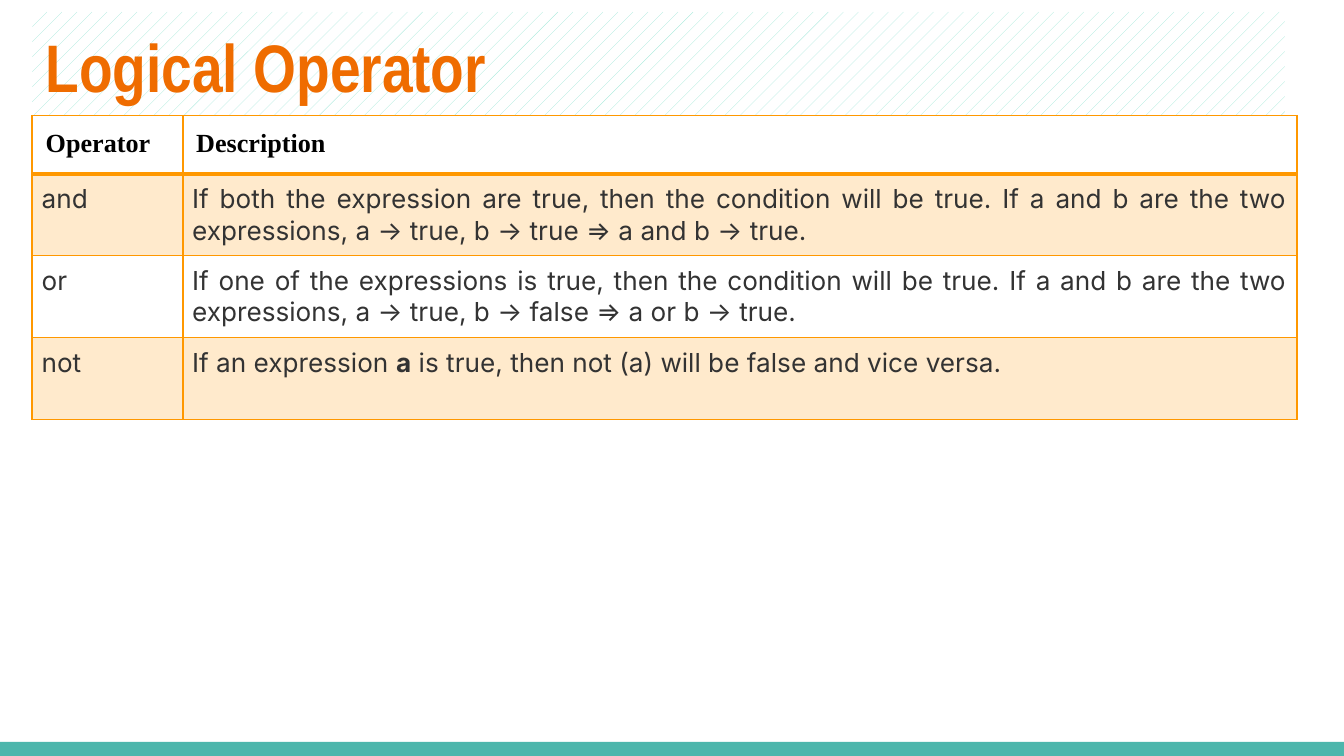
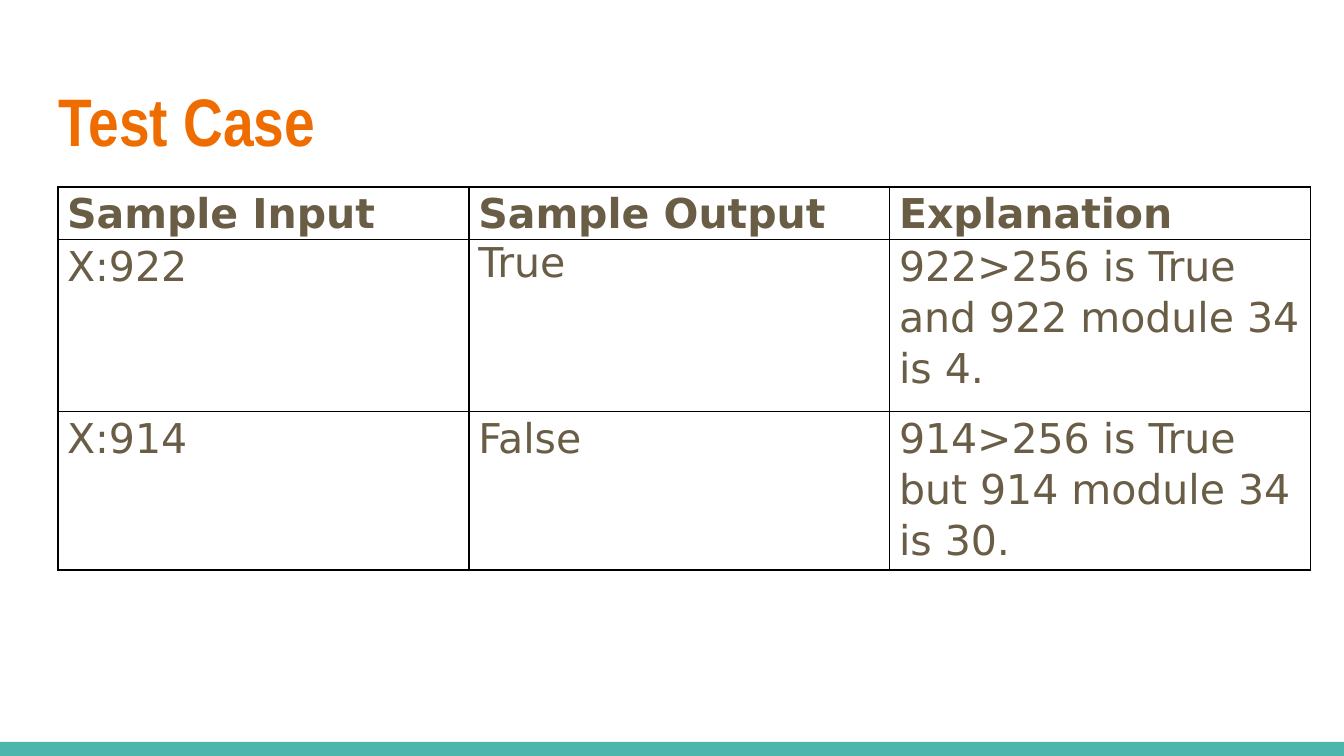
import pptx
import pptx.util
import pptx.dml.color
import pptx.enum.dml
import pptx.enum.shapes
import pptx.enum.text
import pptx.oxml
import pptx.oxml.ns
from lxml import etree

Inches = pptx.util.Inches
Pt = pptx.util.Pt
qn = pptx.oxml.ns.qn
ALIGN = pptx.enum.text.PP_ALIGN

WIDE = 10
HIGH = WIDE * 9 / 16
TEAL, ORANGE, AMBER = "4DB6AC", "EF6C00", "FF9800"
MINT, WHITE, BLACK = "A1E8D9", "FFFFFF", "000000"
GREY, BROWN = "333333", "695D46"

# Text formats
TITLE = dict(size=Pt(36), name="Arial Narrow", bold=True, color=ORANGE)
HEAD = dict(size=Pt(14), name="Times New Roman", bold=True, color=BLACK)
BODY = dict(size=Pt(14), name="Inter", bold=False, color=GREY)
CASE = dict(size=Pt(22), name="DejaVu Sans", bold=False, color=BROWN)

LOGIC = [
    ["Operator", "Description"],
    ["and", "If both the expression are true, then the condition will be true. "
     "If a and b are the two expressions, a → true, b → true => a and b → true."],
    ["or", "If one of the expressions is true, then the condition will be true. "
     "If a and b are the two expressions, a → true, b → false => a or b → true."],
    ["not", "If an expression *a* is true, then not (a) will be false and vice versa."],
]
TESTS = [
    ["Sample Input", "Sample Output", "Explanation"],
    ["X:922", "True", "922>256 is True and 922 module 34 is 4."],
    ["X:914", "False", "914>256 is True but 914 module 34 is 30."],
]


def tint(color, code):
    color.rgb = pptx.dml.color.RGBColor.from_string(code)


def style(font, look):
    for key, value in look.items():
        if key == "color":
            tint(font.color, value)
        else:
            setattr(font, key, value)


def write(para, text, look):
    """Add runs; text between asterisks is bold."""
    for i, part in enumerate(text.split("*")):
        run = para.add_run()
        run.text = part
        style(run.font, look)
        if i % 2:
            run.font.bold = True


def pad(item, x, y):
    for side, gap in zip(("left", "top", "right", "bottom"), (x, y, x, y)):
        setattr(item, "margin_" + side, Inches(gap))


def edge(cell, code, widths):
    """Draw the borders; widths run left, right, top, bottom."""
    props = cell._tc.get_or_add_tcPr()
    for side, width in zip("LRTB", widths):
        line = etree.SubElement(props, qn("a:ln" + side), w=str(Pt(width)))
        fill = etree.SubElement(line, qn("a:solidFill"))
        etree.SubElement(fill, qn("a:srgbClr"), val=code)


def shade(cell, code, alpha):
    cell.fill.solid()
    tint(cell.fill.fore_color, code)
    mark = cell._tc.tcPr.find(qn("a:solidFill"))[0]
    etree.SubElement(mark, qn("a:alpha"), val=str(alpha * 1000))


def band(slide):
    """Strip along the foot of the slide."""
    strip = slide.shapes.add_shape(
        pptx.enum.shapes.MSO_SHAPE.RECTANGLE,
        Inches(0), Inches(5.52), Inches(WIDE), Inches(0.11))
    strip.shadow.inherit = False
    strip.fill.solid()
    tint(strip.fill.fore_color, TEAL)
    strip.line.fill.background()


def title(slide, text, x, y):
    box = slide.shapes.add_textbox(Inches(x), Inches(y), Inches(9.32), Inches(0.77))
    frame = box.text_frame
    frame.word_wrap = True
    pad(frame, 0.1, 0.1)
    write(frame.paragraphs[0], text, TITLE)
    return box


def grid(slide, x, y, cols, rows, tall):
    """Make a plain table with the given column widths and row heights."""
    frame = slide.shapes.add_table(
        len(rows), len(cols), Inches(x), Inches(y),
        Inches(sum(cols)), Inches(tall))
    table = frame.table
    table.first_row = table.horz_banding = False
    for col, width in zip(table.columns, cols):
        col.width = Inches(width)
    for row, height in zip(table.rows, rows):
        row.height = Inches(height)
    frame.height = Inches(tall)
    return table


def cells(table, data):
    for r, line in enumerate(data):
        for c, text in enumerate(line):
            yield r, table.cell(r, c), text


def logic(slide, x, y):
    """Title over a hatched ground, with the table of operators below."""
    box = title(slide, "Logical Operator", x, y)
    box.fill.patterned()
    box.fill.pattern = pptx.enum.dml.MSO_PATTERN.PERCENT_10
    tint(box.fill.fore_color, MINT)
    tint(box.fill.back_color, WHITE)

    table = grid(slide, x, y + 0.77, [1.12, 8.29], [0.43, 0.6, 0.61, 0.61], 2.26)
    for r, cell, text in cells(table, LOGIC):
        gap = 0.07 if r else 0.1
        pad(cell, gap, gap)
        para = cell.text_frame.paragraphs[0]
        if r:
            para.alignment = ALIGN.JUSTIFY
        write(para, text, BODY if r else HEAD)
        # The rule under the header is double weight
        edge(cell, AMBER, (1, 1, 1, 1 if r else 2))
        if r % 2:
            shade(cell, AMBER, 20)
        else:
            cell.fill.background()


def tests(slide, x, y):
    """Title with the table of test cases below."""
    title(slide, "Test Case", x, y)
    table = grid(slide, x + 0.09, y + 0.9, [3.06, 3.13, 3.13], [0.3, 1.28, 0.9], 2.78)
    for r, cell, text in cells(table, TESTS):
        pad(cell, 0.07, 0)
        para = cell.text_frame.paragraphs[0]
        if text != "True":
            para.line_spacing = 1.07
        write(para, text, dict(CASE, bold=r == 0))
        edge(cell, BLACK, (1, 1, 1, 1))
        cell.fill.background()


def main():
    deck = pptx.Presentation()
    deck.slide_width, deck.slide_height = Inches(WIDE), Inches(HIGH)
    for build, x, y in ((logic, 0.24, 0.09), (tests, 0.34, 0.49)):
        slide = deck.slides.add_slide(deck.slide_layouts[6])
        band(slide)
        build(slide, x, y)
    deck.save("out.pptx")


if __name__ == "__main__":
    main()
